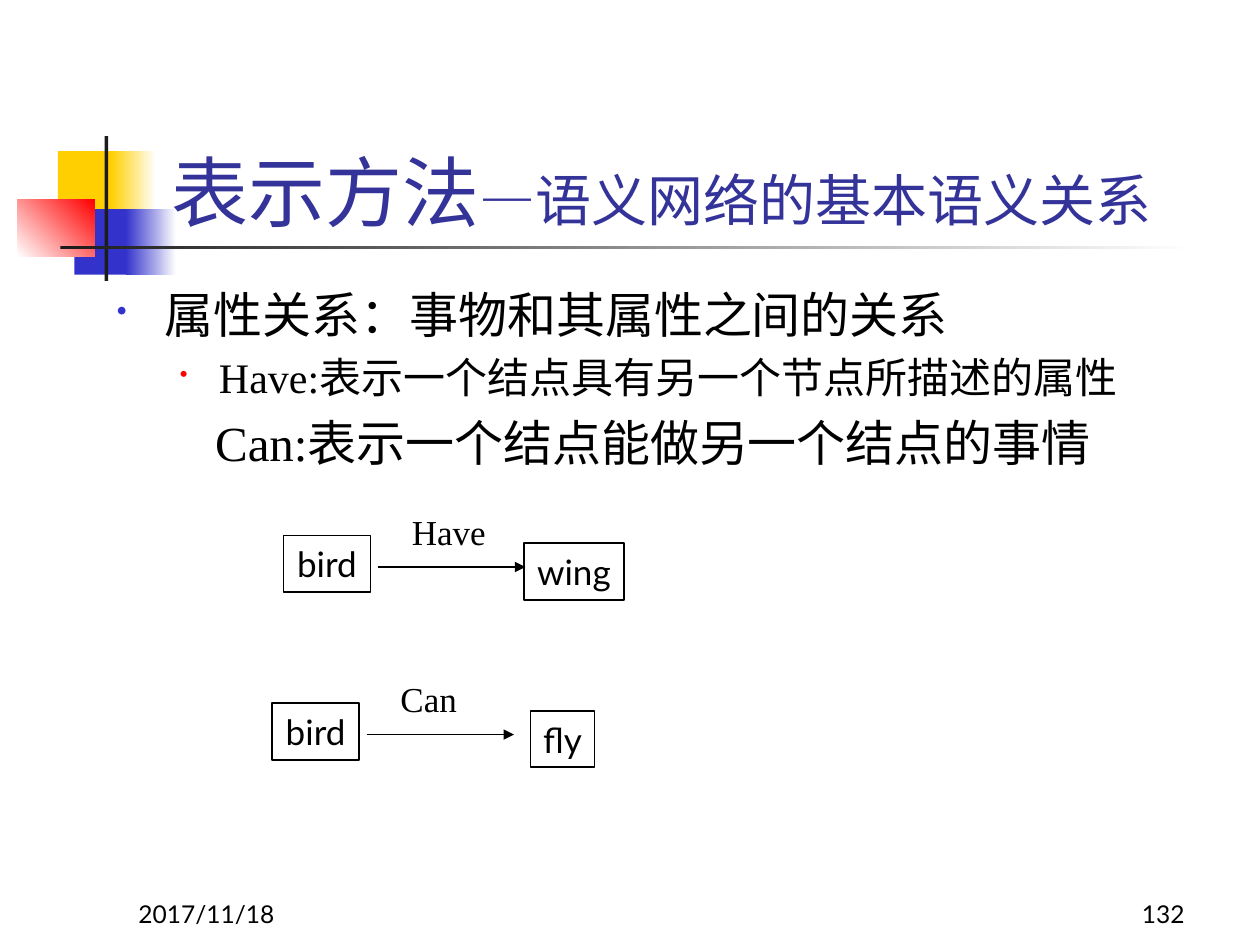
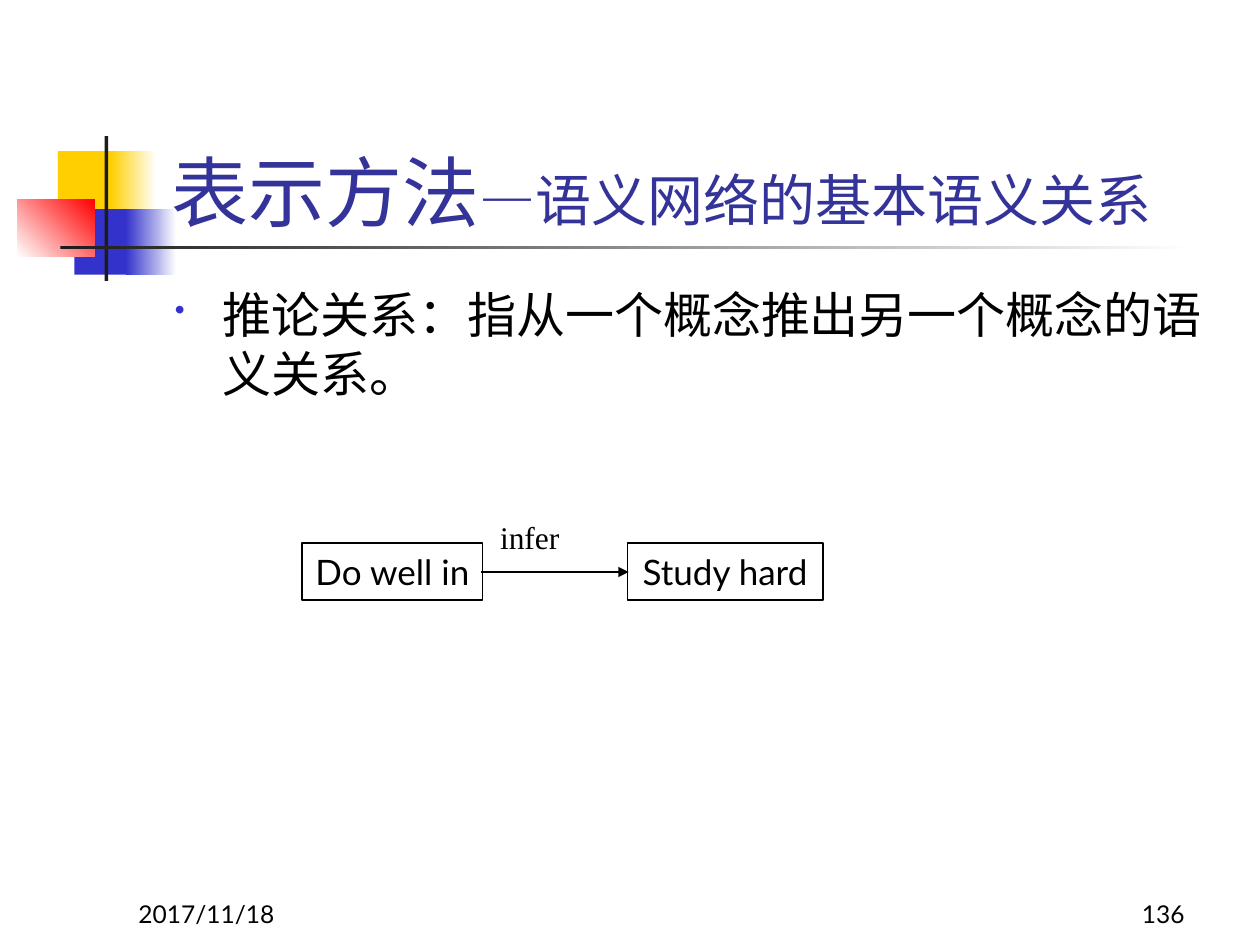
from lxml import etree
from pptx import Presentation
from pptx.dml.color import RGBColor
from pptx.enum.shapes import MSO_CONNECTOR, MSO_SHAPE
from pptx.enum.text import MSO_ANCHOR, PP_ALIGN
from pptx.oxml.ns import qn
from pptx.util import Inches, Pt

BLACK = RGBColor(0x00, 0x00, 0x00)
WHITE = RGBColor(0xFF, 0xFF, 0xFF)
CHARCOAL = RGBColor(0x1C, 0x1C, 0x1C)
YELLOW = RGBColor(0xFF, 0xCF, 0x01)
BLUE = RGBColor(0x33, 0x33, 0xCC)
RED = RGBColor(0xFF, 0x00, 0x00)
TITLE_BLUE = RGBColor(0x33, 0x33, 0x99)
SANS, SERIF = "Lato", "Times New Roman"
RECTANGLE, STRAIGHT = MSO_SHAPE.RECTANGLE, MSO_CONNECTOR.STRAIGHT
TOP, MIDDLE, BOTTOM = MSO_ANCHOR.TOP, MSO_ANCHOR.MIDDLE, MSO_ANCHOR.BOTTOM
LEFT, CENTER, RIGHT = PP_ALIGN.LEFT, PP_ALIGN.CENTER, PP_ALIGN.RIGHT

# Place, colours (two make a gradient), gradient angle
DECORATION = [
    ((0.46, 1.2, 0.48, 0.52), [YELLOW], 0),
    ((0.88, 1.2, 0.36, 0.52), [YELLOW, WHITE], 0),
    ((0.59, 1.66, 0.46, 0.52), [BLUE], 0),
    ((1, 1.66, 0.4, 0.52), [BLUE, WHITE], 0),
    ((0.14, 1.58, 0.61, 0.46), [WHITE, RED], 45),
    ((0.83, 1.08, 0.03, 1.15), [CHARCOAL], 0),
    ((0.48, 1.95, 9, 0.03), [CHARCOAL, WHITE], 0),
]
TITLE = [("表示方法", 44), ("—语义网络的基本语义关系", 32)]

# Left margin, hanging indent, bullet colour, bullet size in percent
TOPIC = (0.38, -0.38, BLUE, 60)
DETAIL = (0.81, -0.31, RED, 55)
PLAIN = (0.78, 0, None, None)

SLIDES = [
    {
        "number": "132",
        "body_place": (0.83, 2.21, 8.96, 1.88),
        "body": [
            ("属性关系：事物和其属性之间的关系", 28, TOPIC),
            ("Have:表示一个结点具有另一个节点所描述的属性", 24, DETAIL),
            ("Can:表示一个结点能做另一个结点的事情", 28, PLAIN),
        ],
        "nodes": [
            ("bird", 2.25, 4.25, 0.69), ("wing", 4.16, 4.31, 0.79),
            ("bird", 2.16, 5.58, 0.69), ("fly", 4.21, 5.64, 0.51),
        ],
        "labels": [("Have", 20, 3.17, 4), ("Can", 20, 3.08, 5.33)],
        "arrows": [(3, 4.5), (2.91, 5.83)],
    },
    {
        "number": "136",
        "body_place": (1.29, 2.21, 8.5, 4.5),
        "body": [("推论关系：指从一个概念推出另一个概念的语义关系。", 28, TOPIC)],
        "nodes": [("Do well in", 2.4, 4.31, 1.43), ("Study hard", 4.98, 4.31, 1.55)],
        "labels": [("infer", 18, 3.87, 4.06)],
        "arrows": [(3.82, 4.54)],
    },
]
NODE_HEIGHT = 0.45
ARROW_LENGTH = 1.17


def write(shape, paragraphs, font, color=BLACK, anchor=TOP, align=LEFT, wrap=True):
    """Fill a shape with paragraphs, each a list of (text, size) spans."""
    frame = shape.text_frame
    frame.word_wrap = wrap
    frame.vertical_anchor = anchor
    for index, spans in enumerate(paragraphs):
        para = frame.add_paragraph() if index else frame.paragraphs[0]
        para.alignment = align
        for text, size in spans:
            span = para.add_run()
            span.text = text
            for name, value in {"name": font, "size": Pt(size)}.items():
                setattr(span.font, name, value)
            span.font.color.rgb = color


def set_bullet(para, margin, indent, color, percent):
    properties = para._p.get_or_add_pPr()
    properties.set("marL", str(Inches(margin)))
    properties.set("indent", str(Inches(indent)))
    if color is None:
        etree.SubElement(properties, qn("a:buNone"))
        return
    bullet_color = etree.SubElement(properties, qn("a:buClr"))
    etree.SubElement(bullet_color, qn("a:srgbClr"), val=str(color))
    etree.SubElement(properties, qn("a:buSzPct"), val=str(percent * 1000))
    etree.SubElement(properties, qn("a:buChar"), char="•")


deck = Presentation()
deck.slide_width, deck.slide_height = Inches(10), Inches(7.5)

for content in SLIDES:
    page = deck.slides.add_slide(deck.slide_layouts[6])
    shapes = page.shapes

    for place, colors, angle in DECORATION:
        block = shapes.add_shape(RECTANGLE, *map(Inches, place))
        block.shadow.inherit = False
        block.line.fill.background()
        if len(colors) == 1:
            block.fill.solid()
            block.fill.fore_color.rgb = colors[0]
        else:
            block.fill.gradient()
            block.fill.gradient_angle = angle
            for stop, color, position in zip(block.fill.gradient_stops, colors, (0, 1)):
                stop.color.rgb = color
                stop.position = position

    for text, left, align in (("2017/11/18", 1, LEFT), (content["number"], 7.42, RIGHT)):
        footer = shapes.add_textbox(*map(Inches, (left, 6.92, 2.08, 0.5)))
        write(footer, [[(text, 14)]], SANS, anchor=BOTTOM, align=align)

    title = shapes.add_textbox(*map(Inches, (1.26, 0.68, 8.52, 1.25)))
    write(title, [TITLE], SANS, TITLE_BLUE, BOTTOM)

    body = shapes.add_textbox(*map(Inches, content["body_place"]))
    write(body, [[(text, size)] for text, size, style in content["body"]], SERIF)
    for index, (text, size, style) in enumerate(content["body"]):
        para = body.text_frame.paragraphs[index]
        set_bullet(para, *style)
        if index:
            para.space_before = Pt(round(size * 0.2, 1))

    for text, left, top, width in content["nodes"]:
        node = shapes.add_shape(RECTANGLE, *map(Inches, (left, top, width, NODE_HEIGHT)))
        node.shadow.inherit = False
        node.fill.background()
        node.line.color.rgb = BLACK
        node.line.width = Pt(1)
        write(node, [[(text, 20)]], SANS, anchor=MIDDLE, align=CENTER, wrap=False)

    for text, size, left, top in content["labels"]:
        label = shapes.add_textbox(*map(Inches, (left, top, 1.08, 0.43)))
        write(label, [[(text, size)]], SERIF)

    for left, top in content["arrows"]:
        ends = (left, top, left + ARROW_LENGTH, top)
        arrow = shapes.add_connector(STRAIGHT, *map(Inches, ends))
        arrow.line.color.rgb = BLACK
        arrow.line.width = Pt(1)
        etree.SubElement(arrow.line._get_or_add_ln(), qn("a:tailEnd"), type="triangle")
        etree.SubElement(arrow._element.spPr, qn("a:effectLst"))

deck.save("out.pptx")
